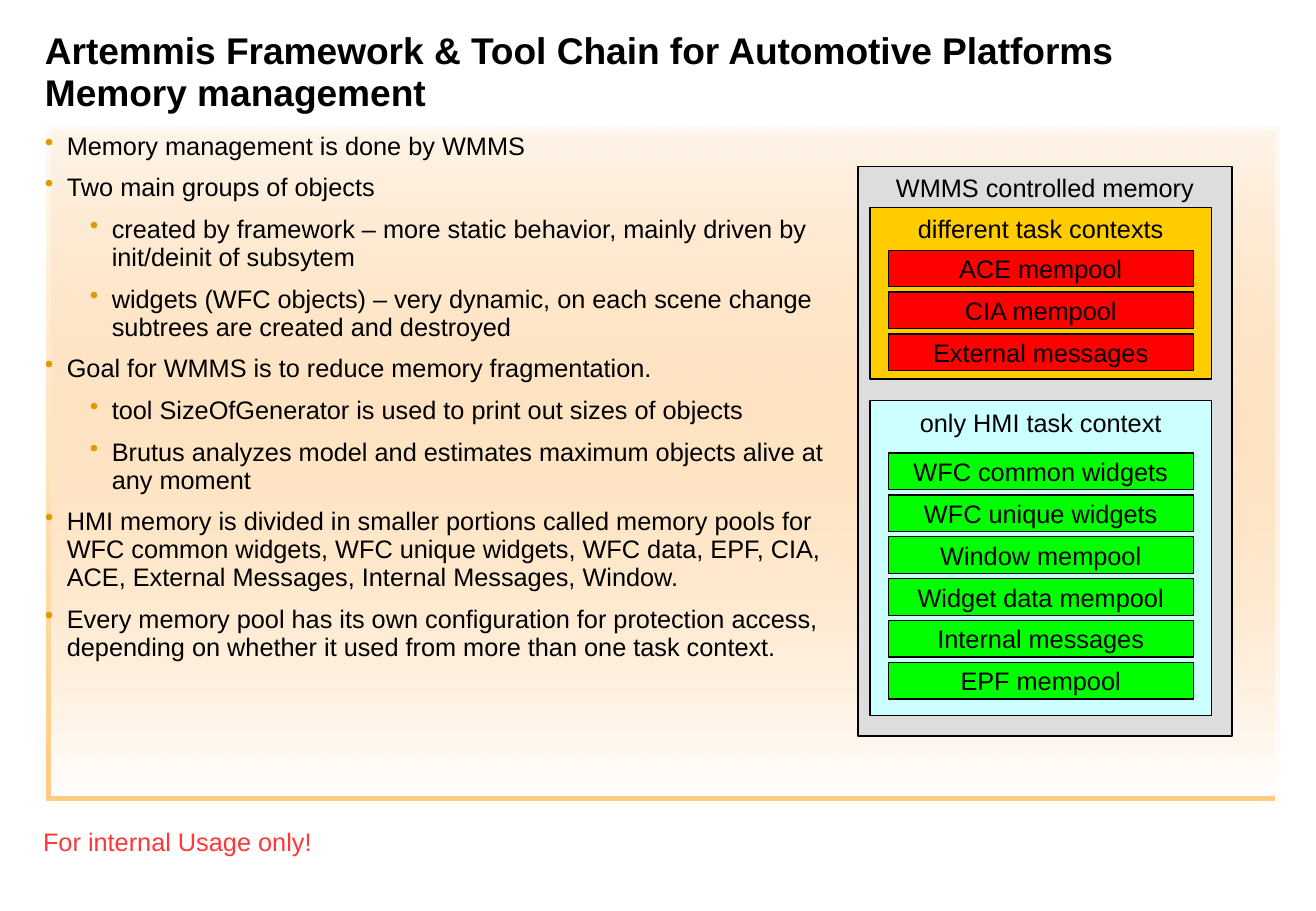
from dataclasses import dataclass
from typing import Any

from lxml import etree
from pptx import Presentation, util as u
from pptx.dml.color import RGBColor
from pptx.enum import shapes, text
from pptx.oxml.ns import qn

PX = 4572  # EMU per px, 200 px to the inch
TOP, MID, END = text.MSO_ANCHOR.TOP, text.MSO_ANCHOR.MIDDLE, text.MSO_ANCHOR.BOTTOM
MID_X = text.PP_ALIGN.CENTER


@dataclass(frozen=True)
class Theme:
    face: str = "Arial"
    ink: str = "000000"
    note: str = "FF3737"
    dot: str = "E19900"
    tint: str = "FFCC99"
    white: str = "FFFFFF"
    shade: str = "FF9900"
    grey: str = "DDDDDD"
    gold: str = "FFCC00"
    aqua: str = "CCFFFF"
    red: str = "FF0000"
    green: str = "00FF00"
    body: int = 15
    head: int = 22


@dataclass(frozen=True)
class Box:
    x: int
    y: int
    w: int
    h: int

    def emu(self) -> tuple[int, ...]:
        return tuple(n * PX for n in (self.x, self.y, self.w, self.h))


@dataclass(frozen=True)
class Block:
    label: str
    box: Box
    fill: str
    anchor: Any = TOP


@dataclass(frozen=True)
class Point:
    words: str
    level: int = 0


T = Theme()
POOL_X, POOL_W, POOL_H, PITCH = 1462, 502, 60, 69


def pools(names: list[str], top: int, fill: str) -> list[Block]:
    return [Block(name, Box(POOL_X, top + i * PITCH, POOL_W, POOL_H), fill, MID)
            for i, name in enumerate(names)]


BLOCKS = [
    Block("WMMS controlled memory", Box(1412, 274, 616, 938), T.grey),
    Block("only HMI task context", Box(1432, 660, 562, 518), T.aqua),
    Block("different task contexts", Box(1432, 342, 562, 282), T.gold),
    *pools(["ACE mempool", "CIA mempool", "External messages"], 412, T.red),
    *pools(["WFC common widgets", "WFC unique widgets", "Window mempool",
            "Widget data mempool", "Internal messages", "EPF mempool"], 746, T.green),
]

POINTS = [
    Point("Memory management is done by WMMS"),
    Point("Two main groups of objects"),
    Point("created by framework – more static behavior, mainly driven by "
          "init/deinit of subsytem", 1),
    Point("widgets (WFC objects) – very dynamic, on each scene change "
          "subtrees are created and destroyed", 1),
    Point("Goal for WMMS is to reduce memory fragmentation."),
    Point("tool SizeOfGenerator is used to print out sizes of objects", 1),
    Point("Brutus analyzes model and estimates maximum objects alive at any moment", 1),
    Point("HMI memory is divided in smaller portions called memory pools for "
          "WFC common widgets, WFC unique widgets, WFC data, EPF, CIA, ACE, "
          "External Messages, Internal Messages, Window."),
    Point("Every memory pool has its own configuration for protection access, "
          "depending on whether it used from more than one task context."),
]


def apply(item: Any, form: dict[str, Any]) -> None:
    for key, value in form.items():
        setattr(item, key, value)


def node(parent: Any, tag: str, **attrs: Any) -> Any:
    return etree.SubElement(parent, qn(tag), {k: str(v) for k, v in attrs.items()})


def write(para: Any, words: str, size: int = T.body, color: str = T.ink,
          bold: bool = False, **form: Any) -> None:
    run = para.add_run()
    run.text = words
    apply(run.font, {"name": T.face, "size": u.Pt(size), "bold": bold})
    run.font.color.rgb = RGBColor.from_string(color)
    apply(para, form)


def rect(slide: Any, box: Box) -> Any:
    shape = slide.shapes.add_shape(shapes.MSO_SHAPE.RECTANGLE, *box.emu())
    shape.shadow.inherit = False
    return shape


def frame(slide: Any, box: Box, **form: Any) -> Any:
    """Add a text box and return its text frame."""
    area = slide.shapes.add_textbox(*box.emu()).text_frame
    apply(area, form)
    return area


def panel(slide: Any, box: Box) -> None:
    """Draw the fading backdrop with its hard shadow at the lower left."""
    shape = rect(slide, box)
    shape.line.fill.background()
    shape.fill.gradient()
    shape.fill.gradient_angle = 270
    for stop, color, spot in zip(shape.fill.gradient_stops, (T.tint, T.white), (0, 1)):
        stop.color.rgb = RGBColor.from_string(color)
        stop.position = spot
    props = shape._element.spPr
    node(next(props.iter(qn("a:srgbClr"))), "a:alpha", val=10000)
    cast = node(props.find(qn("a:effectLst")), "a:outerShdw", dist=u.Pt(4.2),
                dir=135 * 60000, algn="ctr", rotWithShape=0)
    node(node(cast, "a:srgbClr", val=T.shade), "a:alpha", val=50000)


def block(slide: Any, item: Block) -> None:
    shape = rect(slide, item.box)
    shape.fill.solid()
    shape.fill.fore_color.rgb = RGBColor.from_string(item.fill)
    shape.line.color.rgb = RGBColor.from_string(T.ink)
    shape.line.width = u.Pt(0.75)
    area = shape.text_frame
    apply(area, {"word_wrap": False, "vertical_anchor": item.anchor})
    write(area.paragraphs[0], item.label, alignment=MID_X)


def bullet(para: Any, point: Point) -> None:
    write(para, point.words, level=point.level,
          line_spacing=u.Pt(16.5), space_after=u.Pt(8.25))
    props = para._p.get_or_add_pPr()
    props.set("marL", str((36 + 74 * point.level) * PX))
    props.set("indent", str(-36 * PX))
    node(node(props, "a:buClr"), "a:srgbClr", val=T.dot)
    node(props, "a:buChar", char="•")


def main() -> None:
    deck = Presentation()
    apply(deck, {"slide_width": 2166 * PX, "slide_height": 1500 * PX})
    slide = deck.slides.add_slide(deck.slide_layouts[6])
    flush = dict.fromkeys(
        ("margin_left", "margin_top", "margin_right", "margin_bottom"), 0)

    panel(slide, Box(84, 208, 2022, 1102))
    note = frame(slide, Box(50, 1350, 484, 70), word_wrap=False,
                 auto_size=text.MSO_AUTO_SIZE.SHAPE_TO_FIT_TEXT)
    write(note.paragraphs[0], "For internal Usage only!", color=T.note, alignment=MID_X)

    title = frame(slide, Box(74, 50, 2020, 138), word_wrap=True,
                  vertical_anchor=END, **flush)
    head = title.paragraphs[0]
    write(head, "Artemmis Framework & Tool Chain for Automotive Platforms", T.head, bold=True)
    head.add_line_break()
    write(head, "Memory management", T.head, bold=True, line_spacing=u.Pt(24.8))

    body = frame(slide, Box(74, 218, 1316, 1092), word_wrap=True, **flush)
    for i, point in enumerate(POINTS):
        bullet(body.add_paragraph() if i else body.paragraphs[0], point)

    for item in BLOCKS:
        block(slide, item)
    deck.save("out.pptx")


if __name__ == "__main__":
    main()
